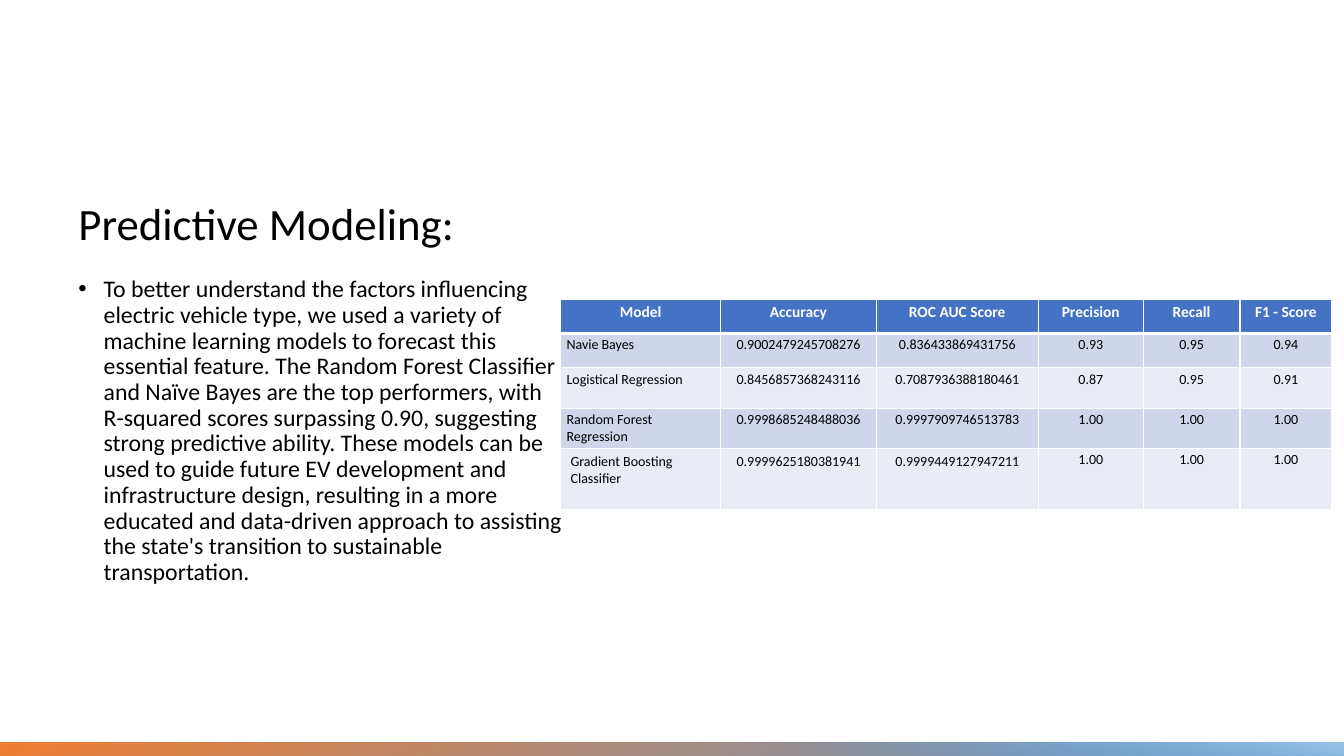
from lxml.etree import SubElement
from pptx import Presentation
from pptx.dml.color import RGBColor
from pptx.enum.shapes import MSO_SHAPE
from pptx.enum.text import MSO_ANCHOR, PP_ALIGN
from pptx.oxml import parse_xml
from pptx.oxml.ns import nsdecls, qn
from pptx.util import Inches, Pt

FONT = "Calibri"
BODY = (
    "To better understand the factors influencing electric vehicle type, we used a "
    "variety of machine learning models to forecast this essential feature. The Random "
    "Forest Classifier and Naïve Bayes are the top performers, with R-squared scores "
    "surpassing 0.90, suggesting strong predictive ability. These models can be used to "
    "guide future EV development and infrastructure design, resulting in a more educated "
    "and data-driven approach to assisting the state's transition to sustainable "
    "transportation."
)
SCORES = [
    ["Model", "Accuracy", "ROC AUC Score", "Precision", "Recall", "F1 - Score"],
    ["Navie Bayes", "0.9002479245708276", "0.836433869431756", "0.93", "0.95", "0.94"],
    ["Logistical Regression", "0.8456857368243116", "0.7087936388180461",
     "0.87", "0.95", "0.91"],
    ["Random Forest Regression", "0.9998685248488036", "0.9997909746513783",
     "1.00", "1.00", "1.00"],
    ["Gradient Boosting Classifier", "0.9999625180381941", "0.9999449127947211",
     "1.00", "1.00", "1.00"],
]
COL_WIDTHS = [1.59, 1.54, 1.61, 1.04, 0.96, 0.91]
ROW_HEIGHTS = [0.34, 0.34, 0.4, 0.4, 0.61]


def rgb(color):
    return RGBColor.from_string(color)


def style_paragraph(p, size, color="000000", bold=False, align=PP_ALIGN.LEFT):
    p.alignment = align
    for r in p.runs:
        r.font.name = FONT
        r.font.size = Pt(size)
        r.font.bold = bold
        r.font.color.rgb = rgb(color)


def add_text(s, text, top, height, size, anchor):
    tf = s.shapes.add_textbox(Inches(0.68), Inches(top),
                              Inches(5.03), Inches(height)).text_frame
    tf.word_wrap = True
    tf.vertical_anchor = anchor
    tf.text = text
    p = tf.paragraphs[0]
    p.line_spacing = 0.9
    style_paragraph(p, size)
    return p


def add_bullet(p, indent):
    p_pr = p._p.get_or_add_pPr()
    p_pr.set("marL", str(Inches(indent)))
    p_pr.set("indent", str(-Inches(indent)))
    SubElement(p_pr, qn("a:buFont"), typeface="Arial")
    SubElement(p_pr, qn("a:buChar"), char="•")


def add_gradient_bar(s, left, top, length, rotation, stops, angle, flip=False):
    """Add a thin upright strip, turned to lie along the bottom edge."""
    sp = s.shapes.add_shape(MSO_SHAPE.RECTANGLE, Inches(left), Inches(top),
                            Inches(0.13), Inches(length))
    sp.rotation = rotation
    sp.shadow.inherit = False
    sp.line.fill.background()
    if flip:
        sp._element.spPr.find(qn("a:xfrm")).set("flipH", "1")
    stop_xml = "".join(
        f'<a:gs pos="{pos * 1000}"><a:srgbClr val="{color}">'
        f'<a:alpha val="{alpha * 1000}"/></a:srgbClr></a:gs>'
        for pos, color, alpha in stops)
    gradient = parse_xml(
        f'<a:gradFill {nsdecls("a")} rotWithShape="1"><a:gsLst>{stop_xml}</a:gsLst>'
        f'<a:lin ang="{angle * 60000}" scaled="0"/></a:gradFill>')
    sp._element.spPr.find(qn("a:prstGeom")).addnext(gradient)


def set_borders(cell, bottom):
    tc_pr = cell._tc.get_or_add_tcPr()
    widths = {"lnL": 1, "lnR": 1, "lnT": 1, "lnB": bottom}
    for i, (side, width) in enumerate(widths.items()):
        tc_pr.insert(i, parse_xml(
            f'<a:{side} {nsdecls("a")} w="{Pt(width)}"><a:solidFill>'
            f'<a:srgbClr val="FFFFFF"/></a:solidFill></a:{side}>'))


def fill_cell(cell, text, row, col):
    header = row == 0
    roomy = row == len(SCORES) - 1 and col < 3
    cell.margin_left = cell.margin_right = Inches(0.1 if roomy else 0.06)
    cell.margin_top = cell.margin_bottom = Inches(0.05 if roomy else 0.03)
    cell.fill.solid()
    band = "CFD5EA" if row % 2 else "E9EBF5"
    cell.fill.fore_color.rgb = rgb("4472C4" if header else band)
    cell.text_frame.text = text
    style_paragraph(cell.text_frame.paragraphs[0], 11 if header else 10,
                    "FFFFFF" if header else "000000", header,
                    PP_ALIGN.CENTER if header or col else PP_ALIGN.LEFT)
    set_borders(cell, 3 if header else 1)


def add_score_table(s):
    table = s.shapes.add_table(
        len(SCORES), len(COL_WIDTHS), Inches(5.56), Inches(2.97),
        Inches(sum(COL_WIDTHS)), Inches(sum(ROW_HEIGHTS))).table
    for column, width in zip(table.columns, COL_WIDTHS):
        column.width = Inches(width)
    for row, (height, values) in enumerate(zip(ROW_HEIGHTS, SCORES)):
        table.rows[row].height = Inches(height)
        for col, text in enumerate(values):
            fill_cell(table.cell(row, col), text, row, col)


def main():
    prs = Presentation()
    prs.slide_width, prs.slide_height = Inches(13.33), Inches(7.5)
    s = prs.slides.add_slide(prs.slide_layouts[6])

    # Title and summary
    add_text(s, "Predictive Modeling:", 0.76, 1.77, 32, MSO_ANCHOR.BOTTOM)
    summary = add_text(s, BODY, 2.7, 3.77, 17, MSO_ANCHOR.TOP)
    summary.space_before = Pt(10)
    add_bullet(summary, 0.25)

    # Bottom colour bar
    add_gradient_bar(s, 6.6, 0.76, 13.35, 90,
                     [(0, "5B9BD5", 100), (100, "ED7D31", 100)], 30, flip=True)
    add_gradient_bar(s, 10.04, 4.19, 6.48, 270,
                     [(19, "5B9BD5", 0), (100, "9DC3E6", 100)], 10)

    # Model scores
    add_score_table(s)
    prs.save("out.pptx")


if __name__ == "__main__":
    main()
